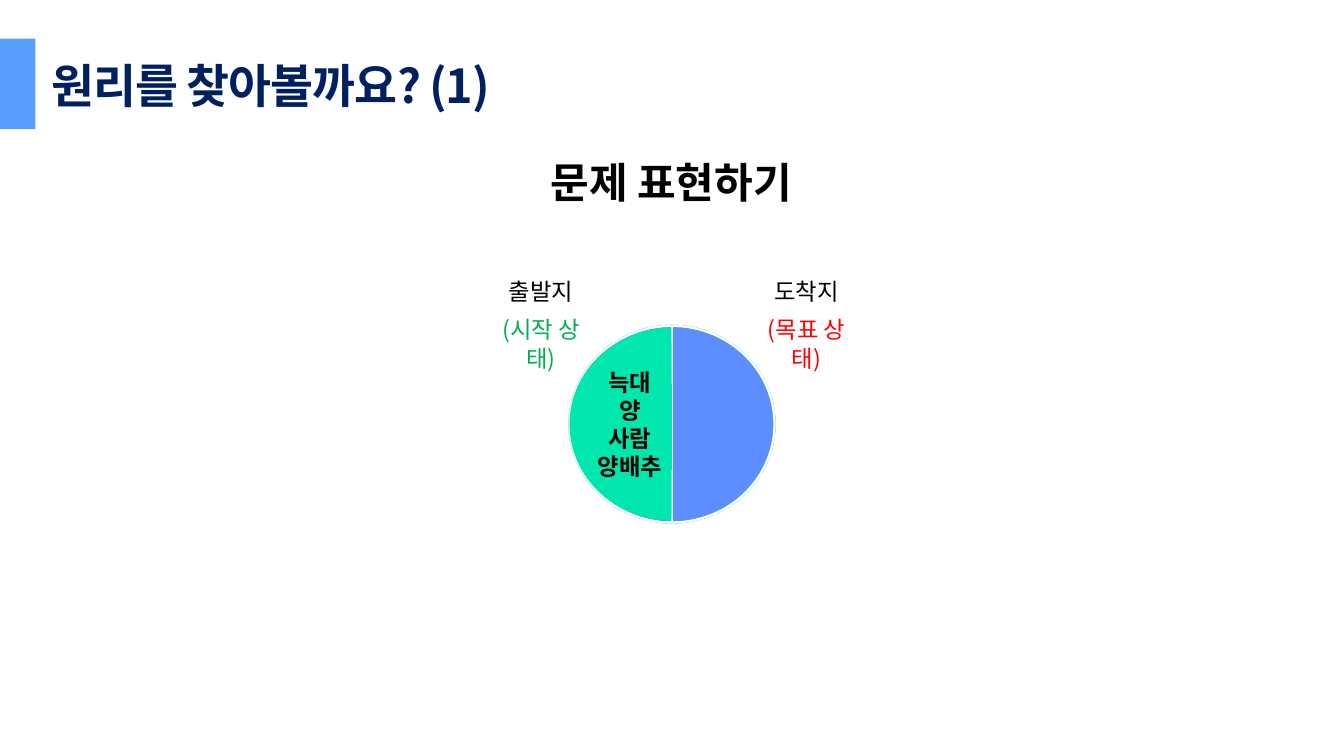
"""Build a slide that states the river crossing puzzle as a start and a goal."""
from lxml.etree import SubElement
from pptx import Presentation
from pptx.dml.color import RGBColor as RGB
from pptx.enum.shapes import MSO_CONNECTOR as LINE, MSO_SHAPE as SHAPE
from pptx.enum.text import PP_ALIGN as ALIGN
from pptx.oxml.ns import qn
from pptx.util import Inches, Pt

FONT = "Noto Sans CJK KR"
COLORS = {
    "bar": "599DFD", "title": "002060", "text": "000000",
    "start": "00B050", "goal": "FF0000", "right": "5C8EFF",
    "left": "00E7AE", "rim": "FFFFFF", "stem": "70AD47",
}
MID, TOP, WIDE, HIGH = 4, 1.94, 1.22, 1.17
DISC = (MID - WIDE / 2, TOP, WIDE, HIGH)


def color(name):
    """Return the named colour."""
    return RGB.from_string(COLORS[name])


def add_text(slide, box, lines, size=10, fill="text", bold=False,
             align=ALIGN.CENTER, gap=None):
    """Add a wrapped text box with one paragraph per line."""
    frame = slide.shapes.add_textbox(*map(Inches, box)).text_frame
    frame.word_wrap = True
    frame.text = "\n".join(lines)
    form = {"name": FONT, "size": Pt(size), "bold": bold}
    for para in frame.paragraphs:
        para.alignment = align
        for run in para.runs:
            for key, value in form.items():
                setattr(run.font, key, value)
            run.font.color.rgb = color(fill)
            props = run._r.get_or_add_rPr()
            SubElement(props, qn("a:ea"), typeface=FONT)
            if gap:
                props.set("spc", str(gap))


def add_shape(slide, kind, box, fill=None, line=None):
    """Add a preset shape with an optional fill and outline."""
    shape = slide.shapes.add_shape(kind, *map(Inches, box))
    shape.shadow.inherit = False
    if fill:
        shape.fill.solid()
        shape.fill.fore_color.rgb = color(fill)
    else:
        shape.fill.background()
    if line:
        shape.line.color.rgb = color(line)
        shape.line.width = Pt(1)
    else:
        shape.line.fill.background()
    return shape


def add_line(slide, fill):
    """Add the upright line that halves the disc."""
    ends = (MID, TOP, MID, TOP + HIGH)
    line = slide.shapes.add_connector(LINE.STRAIGHT, *map(Inches, ends))
    line.line.color.rgb = color(fill)
    line.line.width = Pt(0.5)
    SubElement(line._element.spPr, qn("a:effectLst"))


def add_disc(slide):
    """Add the disc with its two rims and the left half on top."""
    for fill, rim, stem in (("right", "start", "stem"), (None, "rim", "rim")):
        add_shape(slide, SHAPE.OVAL, DISC, fill, rim)
        add_line(slide, stem)
    half = add_shape(slide, SHAPE.PIE, (DISC[0], 1.95, WIDE, 1.15), "left")
    half.adjustments[0] = 54.19
    half.adjustments[1] = 161.78


def main():
    """Build and save the slide."""
    deck = Presentation()
    deck.slide_width, deck.slide_height = Inches(8), Inches(4.5)
    slide = deck.slides.add_slide(deck.slide_layouts[6])
    add_text(slide, (0.21, 0.29, 3.35, 0.44), ["원리를 찾아볼까요? (1)"],
             20, "title", True, ALIGN.LEFT, -50)
    add_shape(slide, SHAPE.RECTANGLE, (-0.23, 0.23, 0.44, 0.54), "bar")
    add_text(slide, (2.83, 0.88, 2.33, 0.4), ["문제 표현하기"], 18, bold=True)
    for mid, place, state, fill in (
        (3.22, "출발지", "(시작 상태)", "start"),
        (4.8, "도착지", "(목표 상태)", "goal"),
    ):
        add_text(slide, (mid - 0.5, 1.6, 1, 0.27), [place])
        add_text(slide, (mid - 0.41, 1.83, 0.82, 0.27), [state], fill=fill)
    add_disc(slide)
    add_text(slide, (3.46, 2.14, 0.58, 0.79),
             ["늑대", "양", "사람", "양배추"], bold=True)
    deck.save("out.pptx")


if __name__ == "__main__":
    main()
